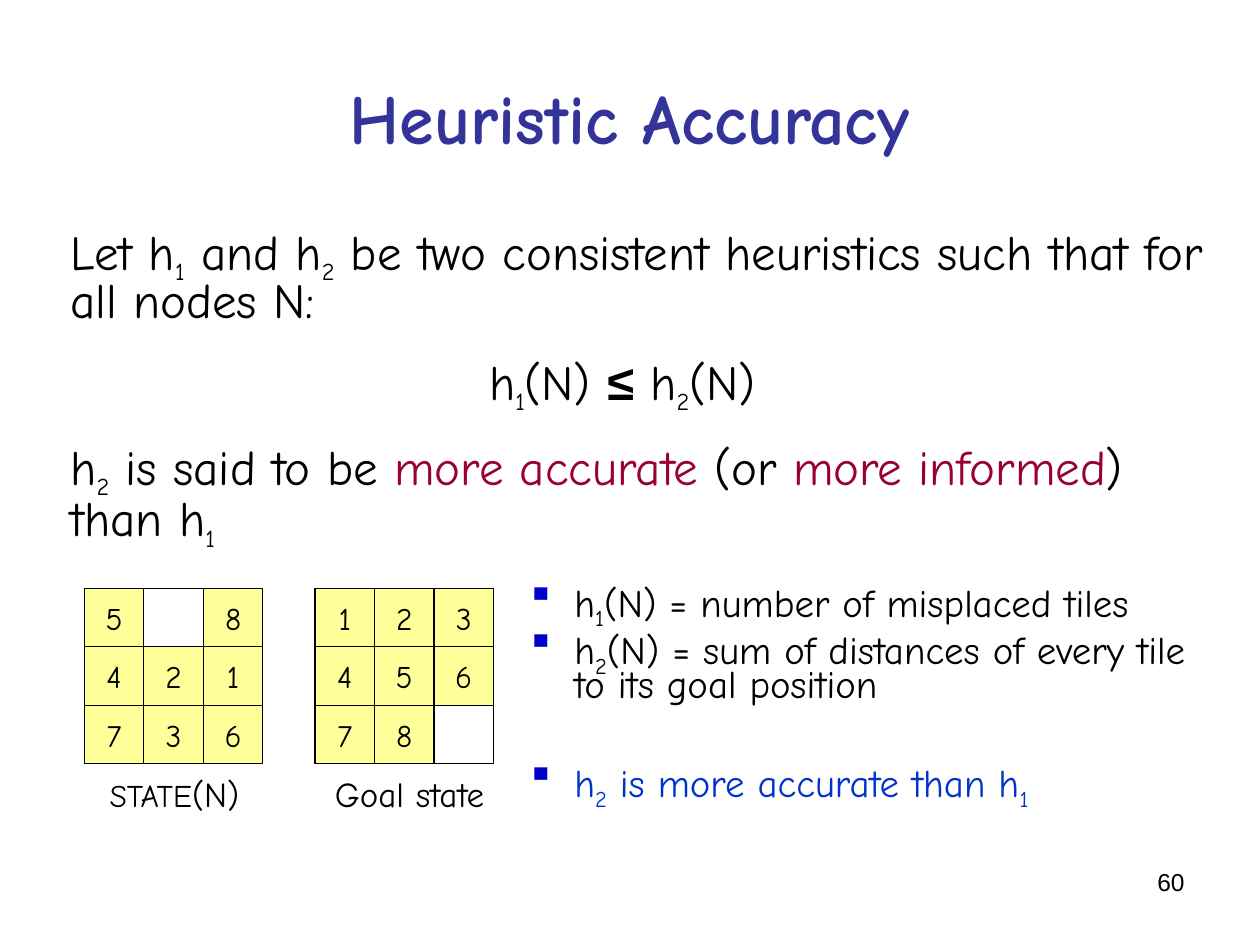
from dataclasses import dataclass
from lxml.etree import SubElement
from pptx import Presentation
from pptx.dml.color import RGBColor
from pptx.enum.shapes import MSO_SHAPE
from pptx.enum.text import MSO_ANCHOR, MSO_AUTO_SIZE, PP_ALIGN
from pptx.oxml.ns import qn
from pptx.util import Cm, Pt


def color(value):
    return RGBColor.from_string(value)


@dataclass
class HeuristicSlide:
    """Style and drawing methods for the current slide."""
    slide: object
    font: str = "Comic Neue"
    ink: str = "000000"
    title_ink: str = "333399"
    accent: str = "990033"
    conclusion: str = "0033CC"
    bullet_ink: str = "0000CC"
    tile_fill: str = "FFFF99"
    tile_width: float = 1.2
    tile_height: float = 1.18

    def run(self, paragraph, text, size, ink=None, bold=False, font=None, subscript=False):
        run = paragraph.add_run()
        run.text = text
        run.font.size = Pt(size)
        run.font.name = font or self.font
        run.font.bold = bold
        run.font.color.rgb = color(ink or self.ink)
        if subscript:
            run._r.get_or_add_rPr().set("baseline", "-25000")

    def title(self, text, left, top, width, height):
        title = self.slide.shapes.title
        title.left, title.top, title.width, title.height = map(Cm, (left, top, width, height))
        title.text_frame.vertical_anchor = MSO_ANCHOR.MIDDLE
        paragraph = title.text_frame.paragraphs[0]
        paragraph.alignment = PP_ALIGN.CENTER
        self.run(paragraph, text, 40, self.title_ink, bold=True)

    def text_box(self, left, top, width, height, inset_top=0.13, shapes=None):
        shapes = shapes or self.slide.shapes
        frame = shapes.add_textbox(*map(Cm, (left, top, width, height))).text_frame
        frame.word_wrap = True
        frame.margin_top = Cm(inset_top)
        return frame

    def paragraph(self, frame, runs, size, spacing, before=0, indent=0.97, bullet=False,
                  alignment=PP_ALIGN.LEFT):
        first = frame.paragraphs[0]
        paragraph = frame.add_paragraph() if first.runs else first
        properties = paragraph._p.get_or_add_pPr()
        properties.set("marL", str(Cm(indent)))
        properties.set("indent", str(-Cm(indent) if bullet else 0))
        if bullet:
            bullet_color = SubElement(properties, qn("a:buClr"))
            SubElement(bullet_color, qn("a:srgbClr")).set("val", self.bullet_ink)
            SubElement(properties, qn("a:buChar")).set("char", "▪")
        paragraph.alignment = alignment
        paragraph.line_spacing = spacing
        paragraph.space_before = Pt(before)
        for text, options in runs:
            self.run(paragraph, text, **{"size": size, **options})

    def tile(self, group, left, top, columns=1, number=None):
        size = self.tile_width * columns, self.tile_height * columns
        tile = group.shapes.add_shape(MSO_SHAPE.RECTANGLE, *map(Cm, (left, top, *size)))
        tile.shadow.inherit = False
        tile.line.color.rgb = color(self.ink)
        tile.line.width = Pt(0.75)
        if number is None:
            tile.fill.background()
            return
        tile.fill.solid()
        tile.fill.fore_color.rgb = color(self.tile_fill)
        frame = tile.text_frame
        frame.word_wrap = False
        frame.vertical_anchor = MSO_ANCHOR.MIDDLE
        frame.paragraphs[0].alignment = PP_ALIGN.CENTER
        self.run(frame.paragraphs[0], str(number), 18)

    def board(self, left, top, rows, caption_left, caption_width, caption):
        group = self.slide.shapes.add_group_shape()
        self.tile(group, left, top, columns=len(rows))
        for row, numbers in enumerate(rows):
            for column, number in enumerate(numbers):
                if number:
                    self.tile(group, left + column * self.tile_width,
                              top + row * self.tile_height, number=number)
        frame = self.text_box(caption_left, 15.44, caption_width, 1.12, shapes=group.shapes)
        frame.word_wrap = False
        frame.auto_size = MSO_AUTO_SIZE.SHAPE_TO_FIT_TEXT
        for text, size in caption:
            self.run(frame.paragraphs[0], text, size)

    def page_number(self, text, left, top, width, height):
        paragraph = self.text_box(left, top, width, height).paragraphs[0]
        paragraph.alignment = PP_ALIGN.RIGHT
        self.run(paragraph, text, 14, font="Arial")


def main():
    presentation = Presentation()
    presentation.slide_width, presentation.slide_height = Cm(25.4), Cm(19.05)
    page = HeuristicSlide(presentation.slides.add_slide(presentation.slide_layouts[5]))
    page.title("Heuristic Accuracy", 1.27, 0.76, 22.86, 3.18)

    small = {"size": 24, "subscript": True}
    accent = {"ink": page.accent}
    definition = page.text_box(0.2, 4.24, 24.56, 6.78, inset_top=0.38)
    page.paragraph(definition, [
        ("Let h", {}), ("1", small), (" and h", {}), ("2", small),
        (" be two consistent heuristics such that for all nodes N:", {})], 28, 0.8)
    page.paragraph(definition, [
        ("h", {}), ("1", small), ("(N) ", {}), ("≤", {"font": "Arial", "bold": True}),
        (" h", {}), ("2", small), ("(N)", {})],
        28, 0.8, before=18, indent=0.13, alignment=PP_ALIGN.CENTER)
    page.paragraph(definition, [
        ("h", {}), ("2", small), (" is said to be ", {}), ("more accurate ", accent),
        ("(or ", {}), ("more informed", accent), (") than h", {}), ("1", small)],
        28, 0.8, before=19)

    below = {"subscript": True}
    blue = {"ink": page.conclusion}
    blue_below = {**blue, **below}
    examples = page.text_box(10.36, 10.16, 14.4, 6.15, inset_top=1.68)
    for before, runs in (
        (0, [("h", {}), ("1", below), ("(N) = number of misplaced tiles", {})]),
        (6, [("h", {}), ("2", below),
             ("(N) = sum of distances of every tile to its goal position", {})]),
        (36, [("h", blue), ("2", blue_below), (" is more accurate than h", blue),
              ("1", blue_below)]),
    ):
        page.paragraph(examples, runs, 22.2, 0.7, before=before, bullet=True)

    page.board(1.7, 11.86, [(5, None, 8), (4, 2, 1), (7, 3, 6)],
               1.96, 3.23, [("STATE", 18), ("(N)", 20)])
    page.board(6.35, 11.86, [(1, 2, 3), (4, 5, 6), (7, 8, None)],
               6.5, 3.56, [("Goal state", 20)])
    page.page_number("60", 18.21, 17.35, 5.92, 1.32)
    presentation.save("out.pptx")


if __name__ == "__main__":
    main()
